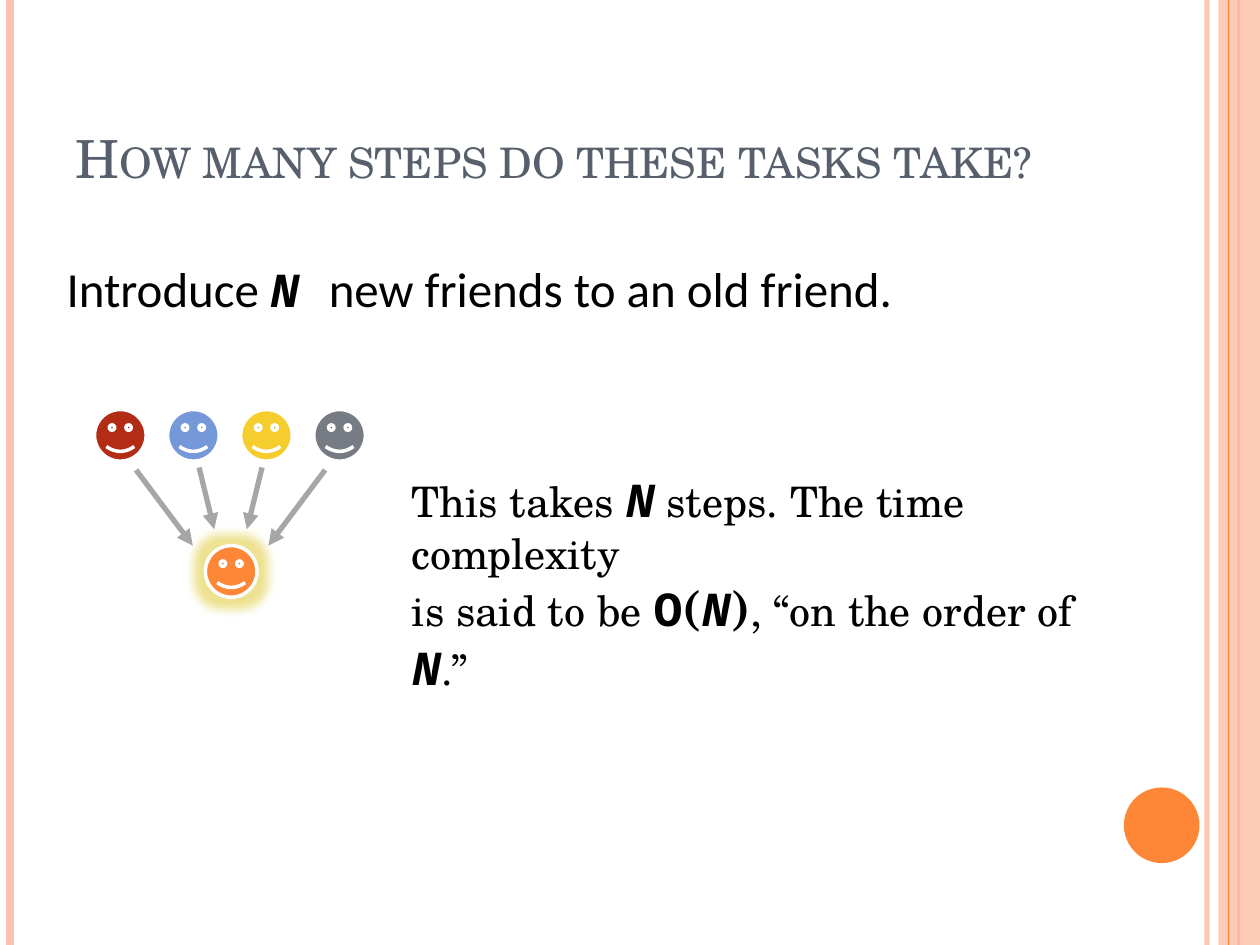
from lxml import etree
from pptx import Presentation
from pptx.dml.color import RGBColor
from pptx.enum.shapes import MSO_CONNECTOR, MSO_SHAPE
from pptx.enum.text import MSO_ANCHOR, PP_ALIGN
from pptx.oxml.ns import qn
from pptx.util import Inches, Pt

STRAIGHT = MSO_CONNECTOR.STRAIGHT
RECTANGLE, OVAL, SMILEY = MSO_SHAPE.RECTANGLE, MSO_SHAPE.OVAL, MSO_SHAPE.SMILEY_FACE
BOTTOM = MSO_ANCHOR.BOTTOM
LEFT, JUSTIFY = PP_ALIGN.LEFT, PP_ALIGN.JUSTIFY
TITLE_ONLY = 5

COLORS = {
    "peach": "FEC3AE", "orange": "FE8637", "slate": "575F6D", "black": "000000",
    "white": "FFFFFF", "red": "B32C16", "blue": "7598D9", "yellow": "F5CD2D",
    "gray": "777C84", "arrow": "A6A6A6", "glow": "DCC622",
}
SERIF, SANS, MONO = "TeX Gyre Schola", "Calibri", "Courier New"

# Text formats
TITLE = {"name": SERIF, "size": Pt(30), "bold": False}
TASK = {"name": SANS, "size": Pt(28)}
BODY = {"name": SERIF, "size": Pt(24)}
SYMBOL = {"name": MONO, "size": Pt(28), "bold": True}
VARIABLE = {**SYMBOL, "italic": True}
BRACKET = {**SYMBOL, "name": SERIF}


class SlideBuilder:
    def __init__(self, slide):
        self.slide = slide

    def color(self, name):
        return RGBColor.from_string(COLORS[name])

    def set_alpha(self, fill, percent):
        """Make a solid fill partly transparent."""
        color = fill.find(".//" + qn("a:srgbClr"))
        etree.SubElement(color, qn("a:alpha"), val=str(percent * 1000))

    def line(self, start, end, color, width, alpha=None, arrow=False):
        connector = self.slide.shapes.add_connector(
            STRAIGHT, *[Inches(value) for value in (*start, *end)])
        connector.line.color.rgb = self.color(color)
        connector.line.width = Pt(width)
        properties = connector._element.spPr
        outline = properties.find(qn("a:ln"))
        if alpha:
            self.set_alpha(outline, alpha)
        if arrow:
            etree.SubElement(outline, qn("a:tailEnd"), type="triangle")
        etree.SubElement(properties, qn("a:effectLst"))

    def shape(self, kind, box, fill, outline=None, alpha=None):
        shape = self.slide.shapes.add_shape(kind, *[Inches(value) for value in box])
        shape.shadow.inherit = False
        shape.fill.solid()
        shape.fill.fore_color.rgb = self.color(fill)
        if alpha:
            self.set_alpha(shape._element.spPr.find(qn("a:solidFill")), alpha)
        if outline:
            shape.line.color.rgb = self.color(outline)
            shape.line.width = Pt(2)
        else:
            shape.line.fill.background()
        return shape

    def glow(self, shape, color, radius, alpha):
        effects = shape._element.spPr.find(qn("a:effectLst"))
        glow = etree.SubElement(effects, qn("a:glow"), rad=str(Pt(radius)))
        etree.SubElement(glow, qn("a:srgbClr"), val=COLORS[color])
        self.set_alpha(glow, alpha)

    def run(self, paragraph, text, style, color):
        run = paragraph.add_run()
        run.text = text
        for attribute, value in style.items():
            setattr(run.font, attribute, value)
        run.font.color.rgb = self.color(color)
        return run

    def title(self, text, box):
        title = self.slide.shapes.title
        title.left, title.top, title.width, title.height = [Inches(value) for value in box]
        title.text_frame.vertical_anchor = BOTTOM
        paragraph = title.text_frame.paragraphs[0]
        paragraph.alignment = LEFT
        run = self.run(paragraph, text, TITLE, "slate")
        run._r.get_or_add_rPr().set("cap", "small")

    def text(self, box, lines, alignment=LEFT):
        frame = self.slide.shapes.add_textbox(*[Inches(value) for value in box]).text_frame
        frame.word_wrap = True
        paragraph = frame.paragraphs[0]
        paragraph.alignment = alignment
        for index, runs in enumerate(lines):
            if index:
                paragraph.add_line_break()
            for text, style in runs:
                self.run(paragraph, text, style, "black")


def main():
    presentation = Presentation()
    presentation.slide_width, presentation.slide_height = Inches(10), Inches(7.5)
    layout = presentation.slide_layouts[TITLE_ONLY]
    builder = SlideBuilder(presentation.slides.add_slide(layout))

    # Side stripes and corner circle
    def stripe(x, color, width, alpha=None):
        builder.line((x, 0), (x, 7.5), color, width, alpha)

    stripe(9.58, "peach", 3, 93)
    stripe(0.08, "peach", 4.5)
    stripe(9.83, "orange", 1.5)
    builder.shape(RECTANGLE, (9.67, 0, 0.33, 7.5), "peach", alpha=87)
    stripe(9.75, "orange", 0.75)
    builder.shape(OVAL, (8.92, 6.25, 0.6, 0.6), "orange")

    # Title, task and answer
    builder.title("How many steps do these tasks take?", (0.5, 0.3, 8.17, 1.25))
    builder.text((0.43, 2, 8.74, 0.57), [[
        ("Introduce ", TASK), ("N ", VARIABLE), ("new friends to an old friend.", TASK),
    ]], JUSTIFY)
    builder.text((3.17, 3.67, 5.89, 1.04), [
        [("This takes ", BODY), ("N", VARIABLE), (" steps. The time complexity", BODY)],
        [("is said to be ", BODY), ("O", SYMBOL), ("(", BRACKET), ("N", VARIABLE),
         (")", BRACKET), (", “on the order of ", BODY), ("N", VARIABLE), (".”", BODY)],
    ])

    # New friends in a row above the old friend
    face = 0.41
    for index, color in enumerate(("red", "blue", "yellow", "gray")):
        builder.shape(SMILEY, (0.75 + 0.58 * index, 3.25, face, face), color, "white")
    old_friend = builder.shape(SMILEY, (1.63, 4.33, face, face), "orange", "white")
    builder.glow(old_friend, "glow", 11, 50)

    # Introductions, mirrored about the centre
    center = 1.83
    for side in (-1, 1):
        for start_offset, start_y, end_offset, end_y in (
                (0.25, 3.71, 0.13, 4.2), (0.75, 3.73, 0.3, 4.33)):
            builder.line((center + side * start_offset, start_y),
                         (center + side * end_offset, end_y), "arrow", 3, arrow=True)

    presentation.save("out.pptx")


if __name__ == "__main__":
    main()
